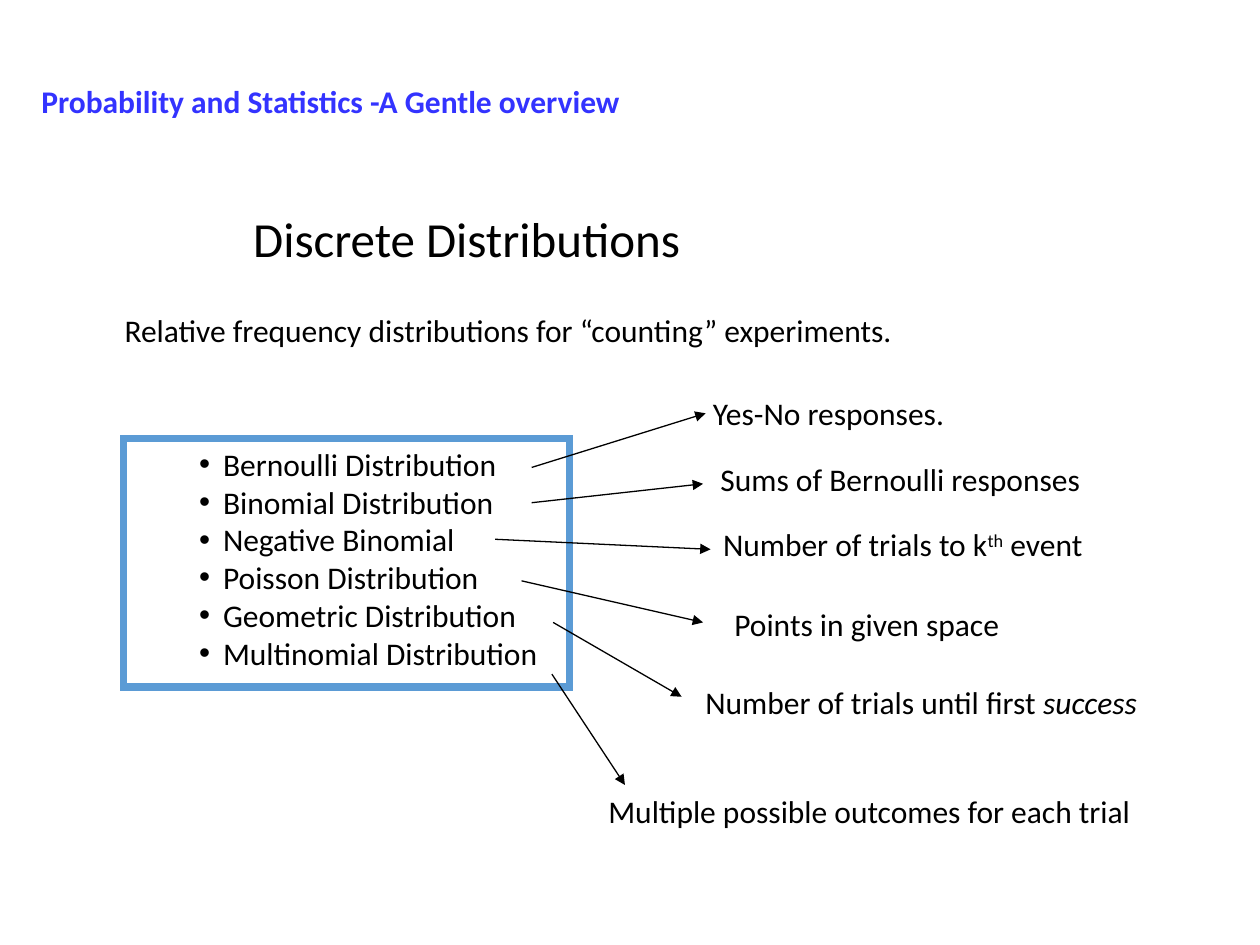
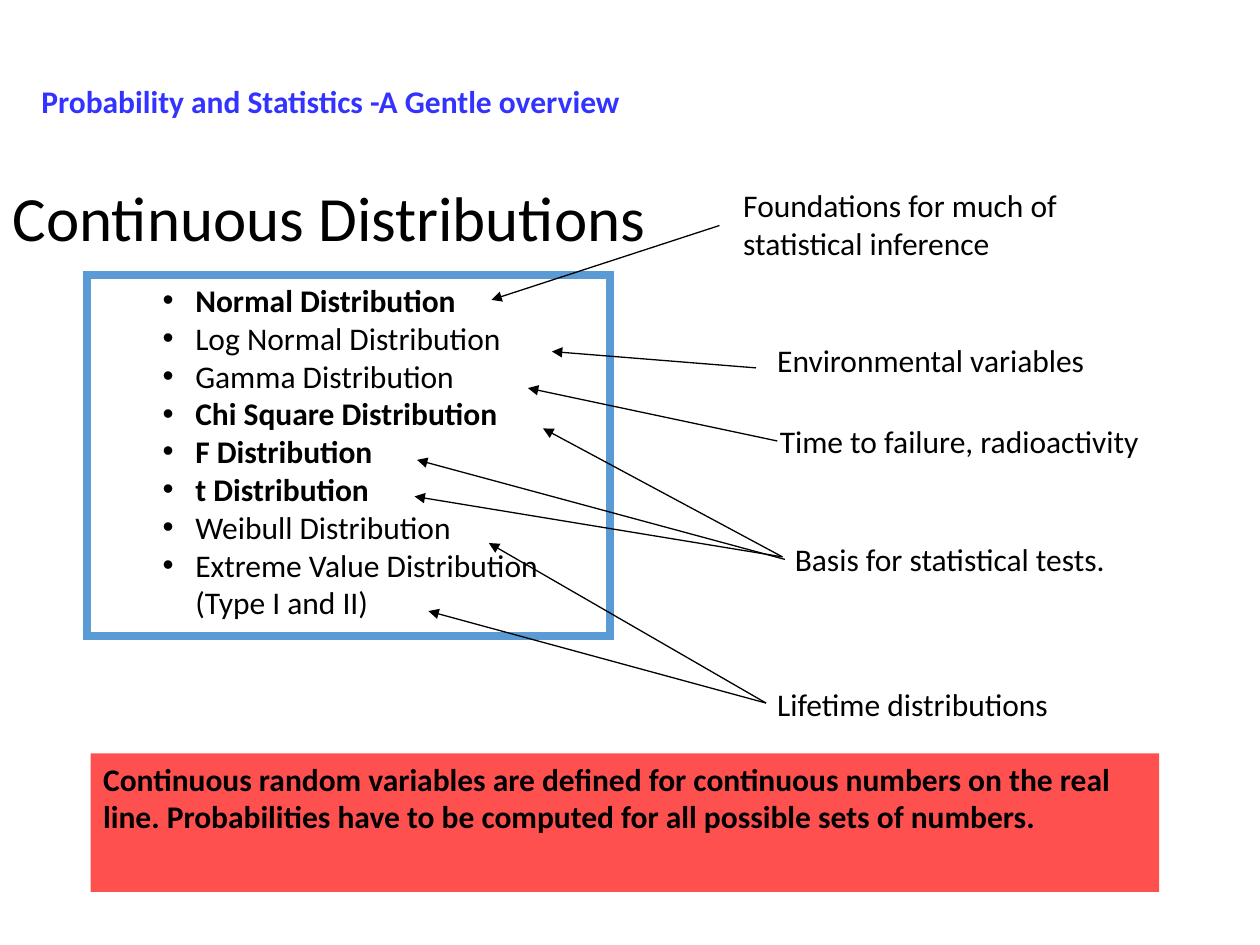
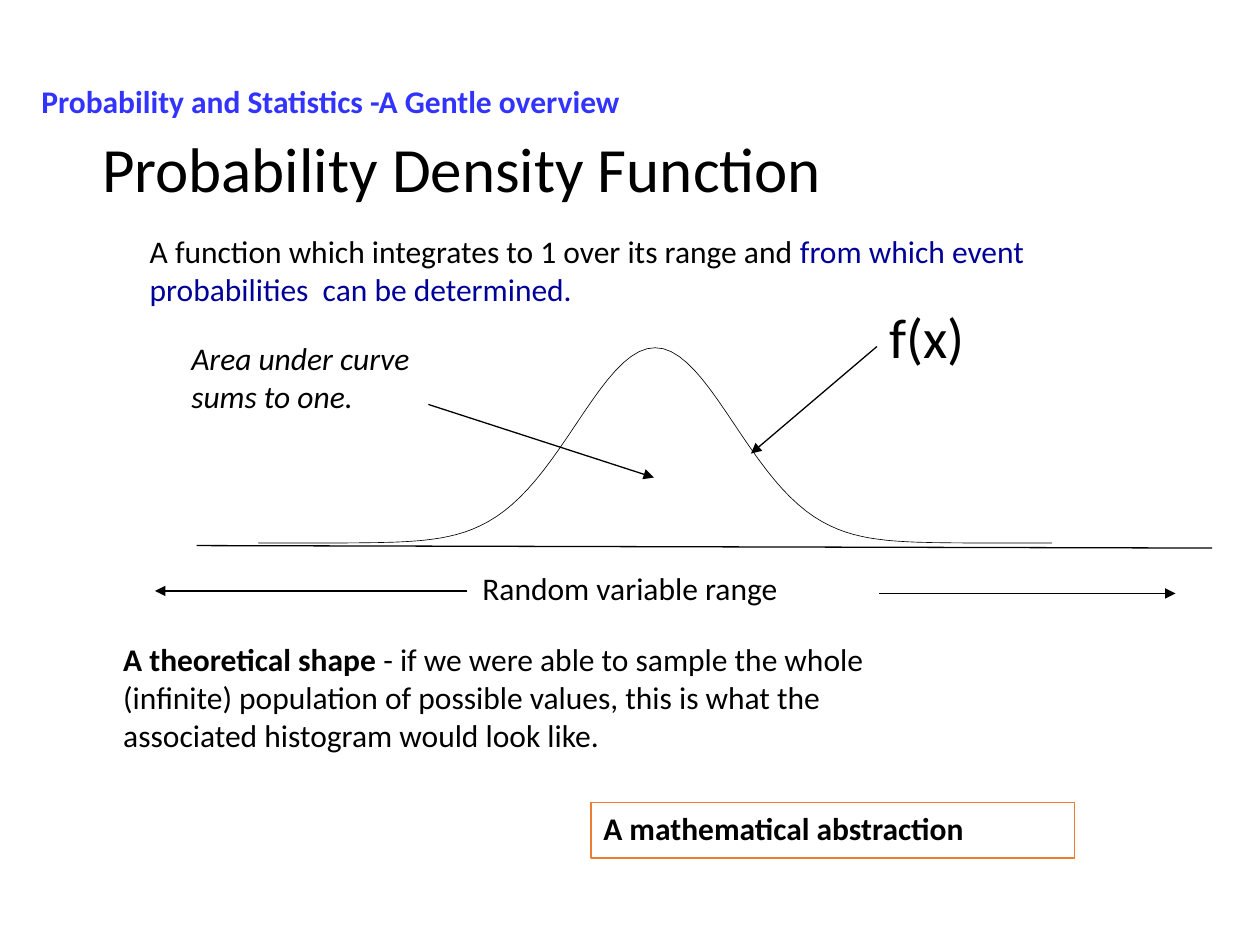
import math

import pptx
import pptx.dml.color
import pptx.enum.shapes
import pptx.enum.text
import pptx.oxml
import pptx.oxml.ns
import pptx.util

Inches = pptx.util.Inches
RGBColor = pptx.dml.color.RGBColor

BLACK = RGBColor(0x00, 0x00, 0x00)
HEADER_BLUE = RGBColor(0x33, 0x33, 0xFF)
EMPHASIS_BLUE = RGBColor(0x00, 0x00, 0x99)
FRAME_BLUE = RGBColor(0x5B, 0x9B, 0xD5)
NOTE_RED = RGBColor(0xFF, 0x50, 0x50)
NOTE_ORANGE = RGBColor(0xED, 0x7D, 0x31)

FONT = "Calibri"
HEADER = "Probability and Statistics -A Gentle overview"
TITLE_WIDTH, TITLE_HEIGHT = 8.62, 1.45
TITLE_AND_CONTENT, TITLE_ONLY = 1, 5


def add_xml(parent, tag, **attributes):
    element = pptx.oxml.parse_xml(f"<a:{tag} {pptx.oxml.ns.nsdecls('a')}/>")
    for name, value in attributes.items():
        element.set(name, str(value))
    parent.append(element)


def line_xml(shape):
    return shape.element.spPr.find(pptx.oxml.ns.qn("a:ln"))


def set_line(shape, color, width):
    shape.line.color.rgb = color
    shape.line.width = pptx.util.Pt(width)


def place(shape, left, top, width, height):
    shape.left, shape.top = Inches(left), Inches(top)
    shape.width, shape.height = Inches(width), Inches(height)


def add_span(para, text, size=18, color=BLACK, bold=False, italic=False, raised=False):
    span = para.add_run()
    span.text = text
    span.font.name = FONT
    span.font.size = pptx.util.Pt(size)
    span.font.color.rgb = color
    span.font.bold = bold
    span.font.italic = italic
    if raised:
        span._r.get_or_add_rPr().set("baseline", "30000")


def write(shape, *lines, **style):
    frame = shape.text_frame
    frame.word_wrap = True
    for index, line in enumerate(lines):
        para = frame.add_paragraph() if index else frame.paragraphs[0]
        para.alignment = pptx.enum.text.PP_ALIGN.LEFT
        for text, changes in [(line, {})] if isinstance(line, str) else line:
            add_span(para, text, **{**style, **changes})


def add_text(page, left, top, width, height, *lines, **style):
    box = page.shapes.add_textbox(*map(Inches, (left, top, width, height)))
    write(box, *lines, **style)


def add_note(page, left, top, width, height, text, fill=None, line=None):
    note = page.shapes.add_shape(pptx.enum.shapes.MSO_SHAPE.RECTANGLE,
                                 *map(Inches, (left, top, width, height)))
    note.shadow.inherit = False
    if fill:
        note.fill.solid()
        note.fill.fore_color.rgb = fill
    else:
        note.fill.background()
    if line:
        set_line(note, line, 0.75)
    else:
        note.line.fill.background()
    note.text_frame.vertical_anchor = pptx.enum.text.MSO_ANCHOR.TOP
    write(note, text, bold=True)


def add_line(page, start, end, arrow=True):
    line = page.shapes.add_connector(pptx.enum.shapes.MSO_CONNECTOR.STRAIGHT,
                                     *map(Inches, (*start, *end)))
    set_line(line, BLACK, 0.75)
    if arrow:
        add_xml(line_xml(line), "tailEnd", type="triangle")
    add_xml(line.element.spPr, "effectLst")


def add_framed_list(page, area, items, indent, hanging):
    body = page.placeholders[1]
    place(body, *area)
    set_line(body, FRAME_BLUE, 4.5)
    add_xml(line_xml(body), "miter", lim=800000)
    body.text_frame.auto_size = pptx.enum.text.MSO_AUTO_SIZE.NONE
    write(body, *items)
    for para in body.text_frame.paragraphs:
        para.level = 1
        para.space_before = pptx.util.Pt(0)
        properties = para._p.get_or_add_pPr()
        properties.set("marL", str(Inches(indent)))
        properties.set("indent", str(-Inches(hanging)))
        add_xml(properties, "buFont", typeface="Arial")
        add_xml(properties, "buChar", char="•")


def add_bell_curve(page, center, base, height, deviation, steps=100):
    points = []
    for step in range(steps + 1):
        score = 10 * step / steps - 5
        y = base - height * math.exp(-score ** 2 / 2)
        points.append((Inches(center + score * deviation), Inches(y)))
    builder = page.shapes.build_freeform(*points[0], scale=1.0)
    builder.add_line_segments(points[1:], close=False)
    curve = builder.convert_to_shape()
    curve.shadow.inherit = False
    curve.fill.background()
    set_line(curve, BLACK, 0.38)


def add_page(deck, layout, title, left, top, size):
    page = deck.slides.add_slide(deck.slide_layouts[layout])
    heading = page.shapes.title
    place(heading, left, top, TITLE_WIDTH, TITLE_HEIGHT)
    heading.text_frame.vertical_anchor = pptx.enum.text.MSO_ANCHOR.MIDDLE
    write(heading, title, size=size)
    heading.text_frame.paragraphs[0].line_spacing = 0.9
    add_text(page, 0.23, 0.6, 4.9, 0.4, HEADER, color=HEADER_BLUE, bold=True)
    return page


def add_discrete_page(deck):
    page = add_page(deck, TITLE_AND_CONTENT, "Discrete Distributions", 1.91, 1.19, 28)
    add_framed_list(page, (0.98, 3.48, 3.54, 1.97), [
        "Bernoulli Distribution", "Binomial Distribution", "Negative Binomial",
        "Poisson Distribution", "Geometric Distribution", "Multinomial Distribution",
    ], 0.69, 0.19)
    add_text(page, 0.89, 2.42, 7.44, 0.43,
             "Relative frequency distributions for “counting” experiments.")
    trials_to_event = [("Number of trials to k", {}), ("th", {"raised": True}), (" event", {})]
    first_success = [("Number of trials until first ", {}), ("success", {"italic": True})]
    meanings = [
        ((5.56, 3.08, 2.56, 0.43), "Yes-No responses.", (4.22, 3.71), (5.6, 3.28)),
        ((5.62, 3.6, 3.74, 0.43), "Sums of Bernoulli responses", (4.22, 3.99), (5.58, 3.84)),
        ((5.64, 4.12, 3.59, 0.43), trials_to_event, (3.93, 4.28), (5.64, 4.36)),
        ((5.73, 4.75, 2.83, 0.43), "Points in given space", (4.14, 4.61), (5.58, 4.94)),
        ((5.5, 5.37, 4.29, 0.77), first_success, (4.39, 4.94), (5.41, 5.53)),
        ((4.73, 6.24, 5.14, 0.43), "Multiple possible outcomes for each trial",
         (4.38, 5.35), (4.96, 6.23)),
    ]
    for area, meaning, start, end in meanings:
        add_text(page, *area, meaning)
        add_line(page, start, end)


def add_continuous_page(deck):
    page = add_page(deck, TITLE_AND_CONTENT, "Continuous Distributions", 0, 1.03, 36)
    strong = {"bold": True}
    add_framed_list(page, (0.69, 2.18, 4.15, 2.87), [
        [("Normal Distribution", strong)],
        "Log Normal Distribution",
        "Gamma Distribution",
        [("Chi Square Distribution", strong)],
        [("F Distribution", strong)],
        [("t Distribution", strong)],
        "Weibull Distribution",
        "Extreme Value Distribution (Type I and II)",
    ], 0.76, 0.26)
    uses = [
        ((5.8, 1.43, 3.59, 0.77), "Foundations for much of statistical inference",
         [((5.71, 1.79), (3.9, 2.38))]),
        ((6.07, 2.66, 3.17, 0.43), "Environmental variables", [((6, 2.92), (4.38, 2.79))]),
        ((6.09, 3.3, 3.58, 0.43), "Time to failure, radioactivity",
         [((6.17, 3.5), (4.19, 3.08))]),
        ((6.21, 4.24, 3.24, 0.43), "Basis for statistical tests.",
         [((6.21, 4.42), (4.31, 3.4)), ((6.23, 4.44), (3.31, 3.65)),
          ((6.21, 4.42), (3.29, 3.94))]),
        ((6.07, 5.39, 2.73, 0.43), "Lifetime distributions",
         [((6.08, 5.58), (3.88, 4.31)), ((6.08, 5.58), (3.4, 4.85))]),
    ]
    for area, use, arrows in uses:
        add_text(page, *area, use)
        for start, end in arrows:
            add_line(page, start, end)
    add_note(page, 0.72, 5.98, 8.48, 1.1,
             "Continuous random variables are defined for continuous numbers on the real line. "
             "Probabilities have to be computed for all possible sets of numbers.",
             fill=NOTE_RED)


def add_density_page(deck):
    page = add_page(deck, TITLE_ONLY, "Probability Density Function", 0.71, 0.64, 36)
    add_text(page, 1.09, 1.79, 8.07, 0.77, [
        ("A function which integrates to 1 over its range and ", {}),
        ("from which event probabilities  can be determined.", {"color": EMPHASIS_BLUE}),
    ])
    add_bell_curve(page, center=5.2, base=4.31, height=1.55, deviation=0.63)
    add_line(page, (1.56, 4.33), (9.62, 4.35), arrow=False)
    add_text(page, 6.96, 2.35, 0.84, 0.63, "f(x)", size=32)
    add_text(page, 1.42, 2.64, 2.33, 0.77, "Area under curve", "sums to one.", italic=True)
    add_text(page, 3.73, 4.47, 3.09, 0.43, "Random variable range")
    for start, end in [((6.96, 2.75), (5.96, 3.6)), ((3.4, 3.21), (5.19, 3.79)),
                       ((3.71, 4.69), (1.23, 4.69)), ((6.98, 4.71), (9.33, 4.71))]:
        add_line(page, start, end)
    add_text(page, 0.88, 5.03, 6.83, 1.1, [
        ("A theoretical shape", {"bold": True}),
        (" - if we were able to sample the whole (infinite) population of possible values, "
         "this is what the associated histogram would look like.", {}),
    ])
    add_note(page, 4.69, 6.37, 3.84, 0.44, "A mathematical abstraction", line=NOTE_ORANGE)


def main():
    deck = pptx.Presentation()
    deck.slide_width, deck.slide_height = Inches(10), Inches(7.5)
    add_discrete_page(deck)
    add_continuous_page(deck)
    add_density_page(deck)
    deck.save("out.pptx")


if __name__ == "__main__":
    main()
